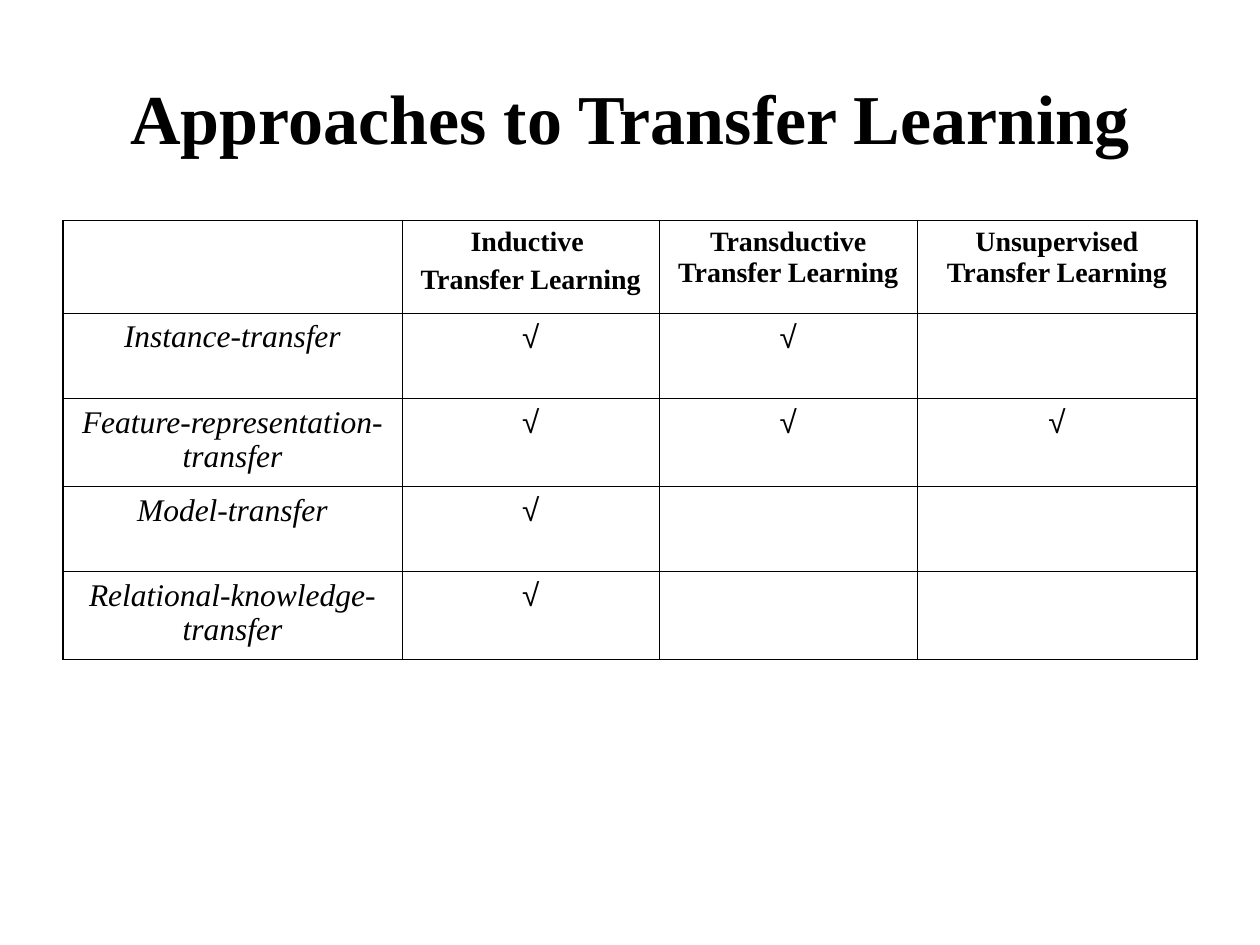
from lxml import etree
from pptx import Presentation
from pptx.dml.color import RGBColor
from pptx.enum import text
from pptx.oxml import ns
from pptx.util import Pt

SERIF, SANS, BLACK = "Times New Roman", "Arial", "000000"
THIN, THICK = 0.45, 1.08
HEADERS = [["Inductive ", "Transfer Learning"],
           ["Transductive Transfer Learning"],
           ["Unsupervised Transfer Learning"]]
# Approach, followed by the number of settings it is used in
APPROACHES = [("Instance-transfer", 2), ("Feature-representation-transfer", 3),
              ("Model-transfer", 1), ("Relational-knowledge-transfer", 1)]
COL_WIDTHS = [193.7, 147.1, 147.2, 160]
ROW_HEIGHTS = [53.2, 48.6, 50.3, 48.6, 50.3]

HEADER = dict(name=SERIF, size=Pt(16), bold=True, italic=False)
APPROACH = dict(name=SERIF, size=Pt(18), bold=False, italic=True)
CHECK = dict(name=SANS, size=Pt(18), bold=False, italic=False)


def rgb(value):
    return RGBColor.from_string(value)


def write(tf, lines, style, gap=0):
    """Fill a text frame with centred paragraphs, gap points apart."""
    for i, line in enumerate(lines):
        p = tf.paragraphs[0] if i == 0 else tf.add_paragraph()
        p.alignment = text.PP_ALIGN.CENTER
        p.space_before = Pt(gap if i else 0)
        r = p.add_run()
        r.text = line
        for key, value in style.items():
            setattr(r.font, key, value)
        r.font.color.rgb = rgb(BLACK)


def set_borders(cell, widths):
    tc_pr = cell._tc.get_or_add_tcPr()
    for i, (side, width) in enumerate(widths.items()):
        ln = etree.Element(ns.qn(f"a:ln{side}"), w=str(Pt(width)))
        fill = etree.SubElement(ln, ns.qn("a:solidFill"))
        etree.SubElement(fill, ns.qn("a:srgbClr"), val=BLACK)
        tc_pr.insert(i, ln)


def add_title(slide, left, top, width, height):
    sp = slide.shapes.title
    sp.left, sp.top, sp.width, sp.height = map(Pt, (left, top, width, height))
    tf = sp.text_frame
    tf.vertical_anchor = text.MSO_ANCHOR.MIDDLE
    write(tf, ["Approaches to Transfer Learning"],
          dict(name=SERIF, size=Pt(40), bold=True))


def add_approach_table(slide, left, top):
    rows, cols = len(ROW_HEIGHTS), len(COL_WIDTHS)
    box = map(Pt, (left, top, sum(COL_WIDTHS), sum(ROW_HEIGHTS)))
    table = slide.shapes.add_table(rows, cols, *box).table
    table.first_row = table.horz_banding = False
    for column, width in zip(table.columns, COL_WIDTHS):
        column.width = Pt(width)
    for row, height in zip(table.rows, ROW_HEIGHTS):
        row.height = Pt(height)

    for c, lines in enumerate(HEADERS, 1):
        write(table.cell(0, c).text_frame, lines, HEADER, gap=4)
    for r, (approach, checks) in enumerate(APPROACHES, 1):
        write(table.cell(r, 0).text_frame, [approach], APPROACH)
        for c in range(1, checks + 1):
            write(table.cell(r, c).text_frame, ["√"], CHECK)

    for r in range(rows):
        for c in range(cols):
            cell = table.cell(r, c)
            cell.fill.background()
            outer = dict(L=c == 0, R=c == cols - 1, T=r == 0, B=r == rows - 1)
            set_borders(cell, {side: THICK if edge else THIN
                               for side, edge in outer.items()})


def main():
    prs = Presentation()
    prs.slide_width, prs.slide_height = Pt(720), Pt(540)
    slide = prs.slides.add_slide(prs.slide_layouts[5])
    add_title(slide, 36, 21.6, 648, 90)
    add_approach_table(slide, 36, 126)
    prs.save("out.pptx")


if __name__ == "__main__":
    main()
